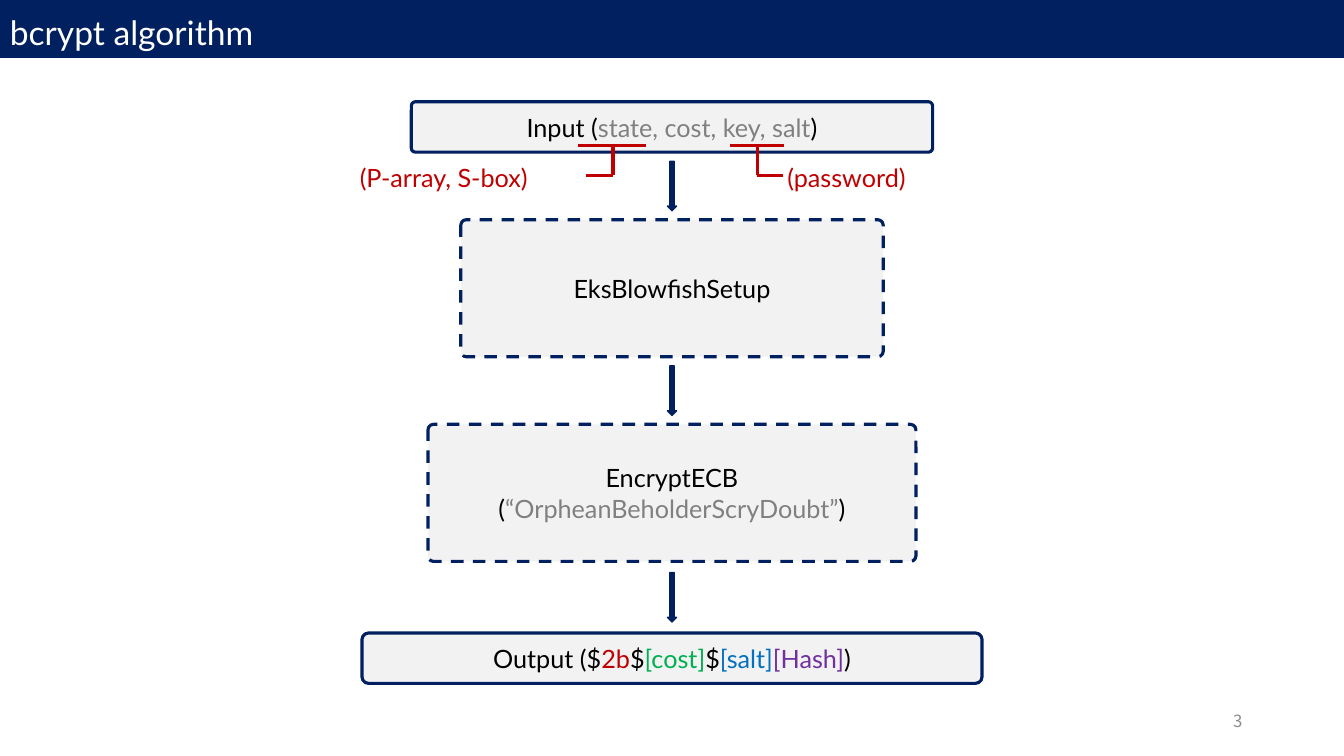
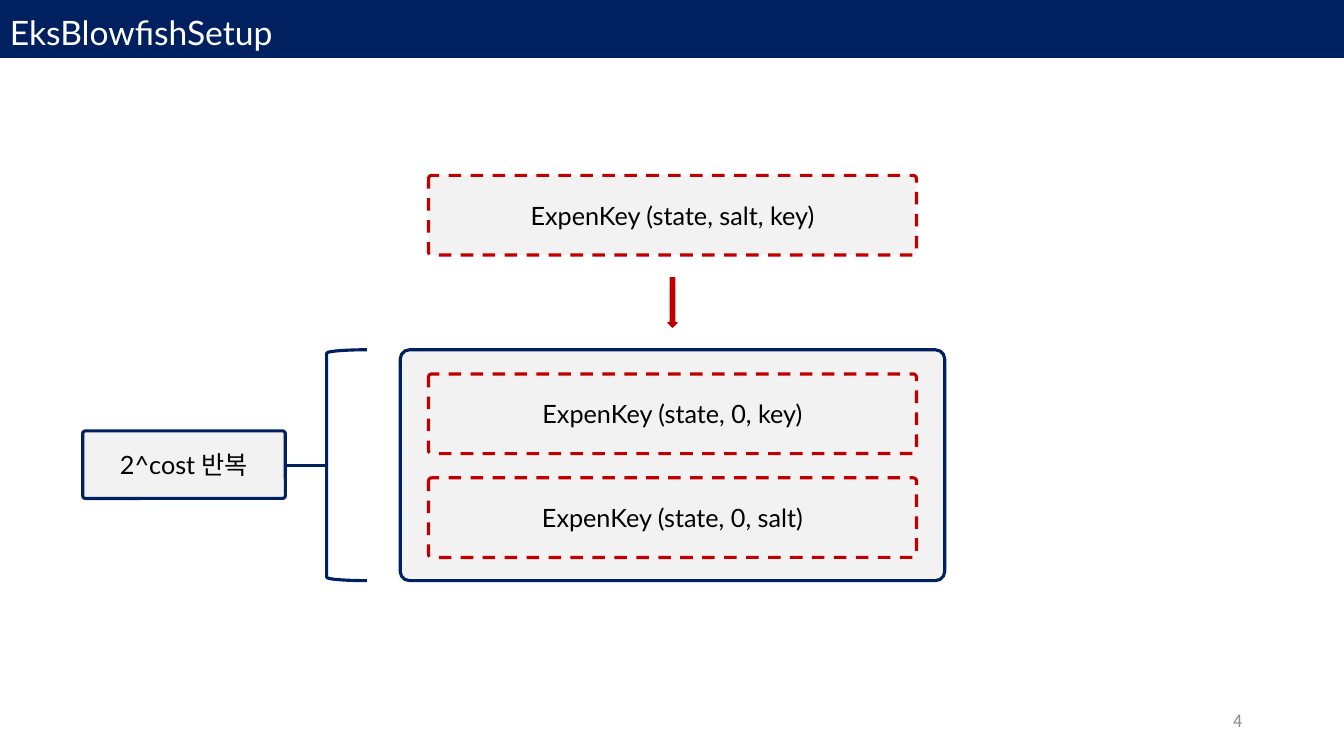
from dataclasses import dataclass
from itertools import pairwise

from lxml import etree
from pptx import Presentation
from pptx import util as u
from pptx.dml.color import RGBColor
from pptx.enum import dml, shapes, text
from pptx.oxml.ns import qn


@dataclass(frozen=True)
class Theme:
    """Colours, fonts and sizes shared by the slides."""
    navy: str = "002060"
    red: str = "C00000"
    panel: str = "F2F2F2"
    white: str = "FFFFFF"
    black: str = "000000"
    gray: str = "808080"
    number: str = "8C8C8C"
    green: str = "00B050"
    blue: str = "0070C0"
    purple: str = "7030A0"
    font: str = "Lato"
    asian_font: str = "Noto Sans CJK KR"
    title_size: int = 24
    body_size: int = 18
    number_size: int = 12
    outline: float = 2.25
    thin: float = 1


THEME = Theme()
WIDTH, HEIGHT = 13.33, 7.5
KIND = shapes.MSO_SHAPE
ALIGN = text.PP_ALIGN


@dataclass(frozen=True)
class Box:
    """A rectangle in inches."""
    left: float
    top: float
    width: float
    height: float

    @property
    def bottom(self):
        """Return the lower edge."""
        return self.top + self.height

    @property
    def middle(self):
        """Return the horizontal centre."""
        return self.left + self.width / 2

    def lengths(self):
        """Return the four measures as lengths."""
        return [u.Inches(n) for n in (self.left, self.top, self.width, self.height)]


def centred(middle, top, width, height):
    """Return a box centred on a vertical axis."""
    return Box(middle - width / 2, top, width, height)


def write(shape, lines, size=THEME.body_size, color=THEME.black, font=THEME.font,
          align=ALIGN.CENTER, anchor=text.MSO_ANCHOR.MIDDLE):
    """Fill a shape with lines, each a list of words and (words, colour) pairs."""
    frame = shape.text_frame
    frame.word_wrap = True
    frame.vertical_anchor = anchor
    for index, line in enumerate(lines):
        para = frame.add_paragraph() if index else frame.paragraphs[0]
        para.alignment = align
        para.font.size = u.Pt(size)
        para.font.color.rgb = RGBColor.from_string(color)
        para.font.name = font
        etree.SubElement(para._p.pPr.find(qn("a:defRPr")), qn("a:ea"),
                         typeface=THEME.asian_font)
        for part in line:
            words, tint = part if isinstance(part, tuple) else (part, None)
            span = para.add_run()
            span.text = words
            if tint:
                span.font.color.rgb = RGBColor.from_string(tint)


def label(page, box, words, **style):
    """Place one line of free text."""
    write(page.shapes.add_textbox(*box.lengths()), [[words]], **style)


def draw(page, kind, box, fill, line, weight):
    """Place a preset shape."""
    shape = page.shapes.add_shape(kind, *box.lengths())
    shape.shadow.inherit = False
    if fill:
        shape.fill.solid()
        shape.fill.fore_color.rgb = RGBColor.from_string(fill)
    else:
        shape.fill.background()
    shape.line.color.rgb = RGBColor.from_string(line)
    shape.line.width = u.Pt(weight)
    return shape


def panel(page, box, lines=(), line=THEME.navy, dashed=False, corner=0.04):
    """Place a rounded panel with centred text."""
    shape = draw(page, KIND.ROUNDED_RECTANGLE, box, THEME.panel, line, THEME.outline)
    shape.adjustments[0] = corner
    if dashed:
        shape.line.dash_style = dml.MSO_LINE.DASH
    write(shape, lines)


def arrow_between(page, upper, lower, color=THEME.navy):
    """Centre a down arrow in the gap between two boxes."""
    height = 0.49
    top = (upper.bottom + lower.top - height) / 2
    draw(page, KIND.DOWN_ARROW, centred(upper.middle, top, 0.09, height),
         color, color, THEME.thin)


def rule(page, start, end, color):
    """Draw a straight line between two points."""
    line = page.shapes.add_connector(shapes.MSO_CONNECTOR.STRAIGHT,
                                     *(u.Inches(n) for n in (*start, *end)))
    line.line.color.rgb = RGBColor.from_string(color)
    line.line.width = u.Pt(THEME.outline)
    etree.SubElement(line._element.spPr, qn("a:effectLst"))


def callout(page, underline, stem, foot, box, words):
    """Underline a word and lead an elbow from it to a note."""
    top, bottom = box.top - 0.12, box.top + 0.18
    for start, end in (((underline[0], top), (underline[1], top)),
                       ((stem, top), (stem, bottom)),
                       ((stem, bottom), (foot, bottom))):
        rule(page, start, end, THEME.red)
    label(page, box, words, color=THEME.red, align=ALIGN.LEFT,
          anchor=text.MSO_ANCHOR.TOP)


def base_page(deck, title, number):
    """Add a blank page with title band and page number."""
    page = deck.slides.add_slide(deck.slide_layouts[6])
    draw(page, KIND.RECTANGLE, Box(0, 0, WIDTH, 0.57), THEME.navy, THEME.navy, THEME.thin)
    label(page, Box(0, 0.07, WIDTH, 0.5), title, size=THEME.title_size,
          color=THEME.white, align=ALIGN.LEFT)
    label(page, Box(9.42, 6.95, 3, 0.4), str(number), size=THEME.number_size,
          color=THEME.number, font=THEME.asian_font, align=ALIGN.RIGHT)
    return page


def algorithm_flow(page, area):
    """Stack the four bcrypt stages with arrows between them."""
    stages = [
        (0, 5.17, 0.5, False, 0.08,
         [["Input (", ("state, cost, key, salt", THEME.gray), ")"]]),
        (1.17, 4.19, 1.36, True, 0.04, [["EksBlowfishSetup"]]),
        (3.2, 4.84, 1.36, True, 0.04,
         [["EncryptECB"], ["(", ("“OrpheanBeholderScryDoubt”", THEME.gray), ")"]]),
        (5.27, 6.15, 0.5, False, 0.13,
         [["Output ($", ("2b", THEME.red), "$", ("[cost]", THEME.green), "$",
           ("[salt]", THEME.blue), ("[Hash]", THEME.purple), ")"]]),
    ]
    boxes = []
    for offset, width, height, dashed, corner, lines in stages:
        box = centred(area.middle, area.top + offset, width, height)
        panel(page, box, lines, dashed=dashed, corner=corner)
        boxes.append(box)
    for upper, lower in pairwise(boxes):
        arrow_between(page, upper, lower)
    x, y = area.left, area.top + 0.55
    callout(page, (x + 3.65, x + 4.19), x + 3.92, x + 4.18,
            Box(x + 4.12, y, 1.71, 0.4), "(password)")
    callout(page, (x + 2.14, x + 2.82), x + 2.49, x + 2.22,
            Box(x - 0.12, y, 2.34, 0.4), "(P-array, S-box)")


def key_step(page, middle, top, arguments):
    """Place one dashed key expansion step and return its box."""
    box = centred(middle, top, 4.84, 0.79)
    panel(page, box, [[f"ExpenKey ({arguments})"]], line=THEME.red, dashed=True)
    return box


def setup_flow(page, area):
    """Show the first key step and the repeated pair below it."""
    first = key_step(page, area.middle, area.top, "state, salt, key")
    loop = Box(area.left, area.top + 1.73, area.width, 2.29)
    panel(page, loop)
    for index, arguments in enumerate(("state, 0, key", "state, 0, salt")):
        key_step(page, loop.middle, loop.top + 0.24 + 1.03 * index, arguments)
    arrow_between(page, first, loop, THEME.red)
    repeat_mark(page, loop)


def repeat_mark(page, loop):
    """Bracket the loop and label its repeat count."""
    bracket = Box(loop.left - 0.73, loop.top, 0.4, loop.height)
    draw(page, KIND.LEFT_BRACKET, bracket, None, THEME.navy, THEME.outline)
    middle = loop.top + loop.height / 2
    count = Box(bracket.left - 2.42, middle - 0.34, 2.01, 0.67)
    rule(page, (count.left + count.width, middle), (bracket.left, middle), THEME.navy)
    panel(page, count, [["2^cost 반복"]])


def main():
    """Build and save the deck."""
    deck = Presentation()
    deck.slide_width, deck.slide_height = u.Inches(WIDTH), u.Inches(HEIGHT)
    algorithm_flow(base_page(deck, "bcrypt algorithm", 3), Box(3.59, 1.01, 6.15, 5.77))
    setup_flow(base_page(deck, "EksBlowfishSetup", 4), Box(3.97, 1.74, 5.4, 4.02))
    deck.save("out.pptx")


if __name__ == "__main__":
    main()
